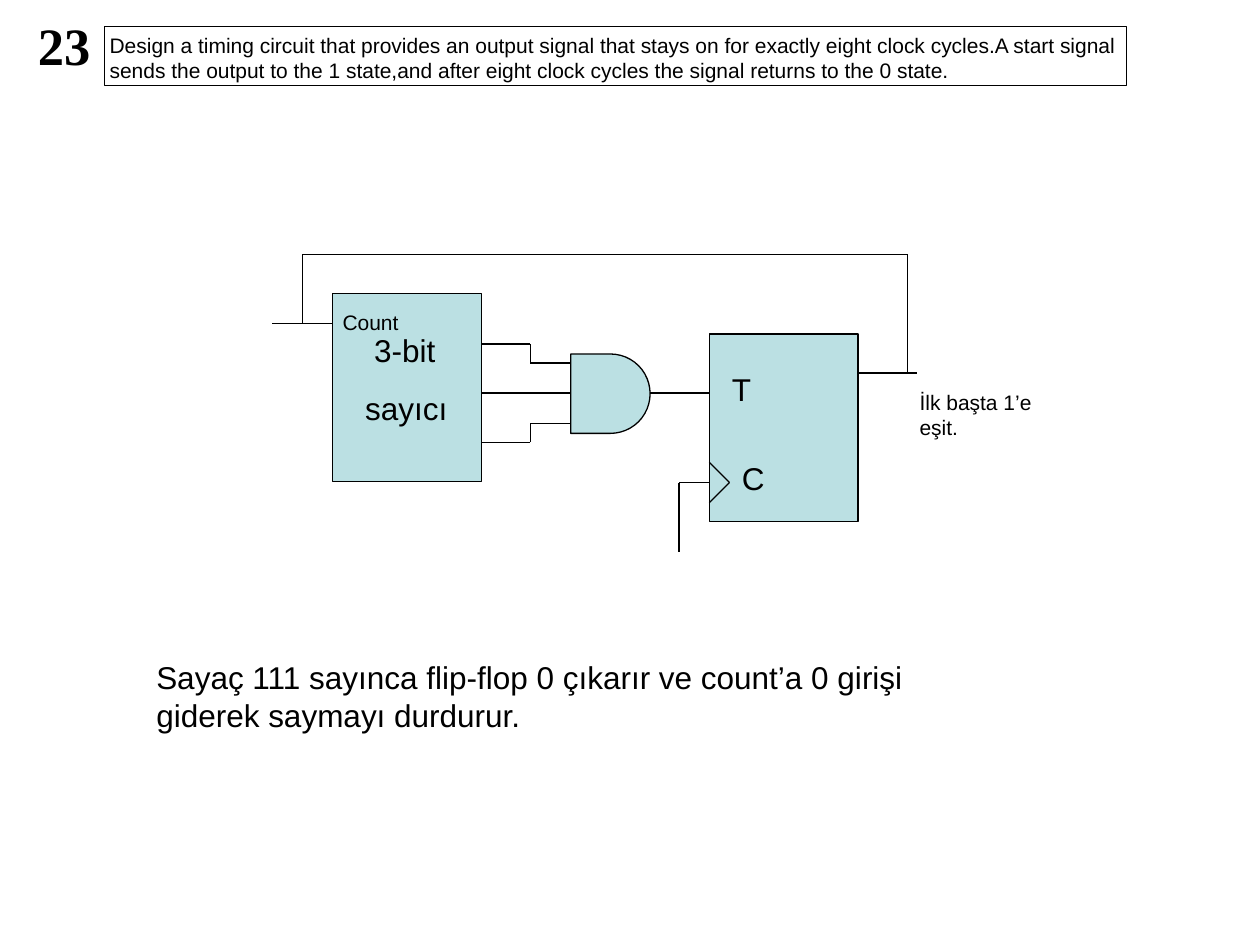
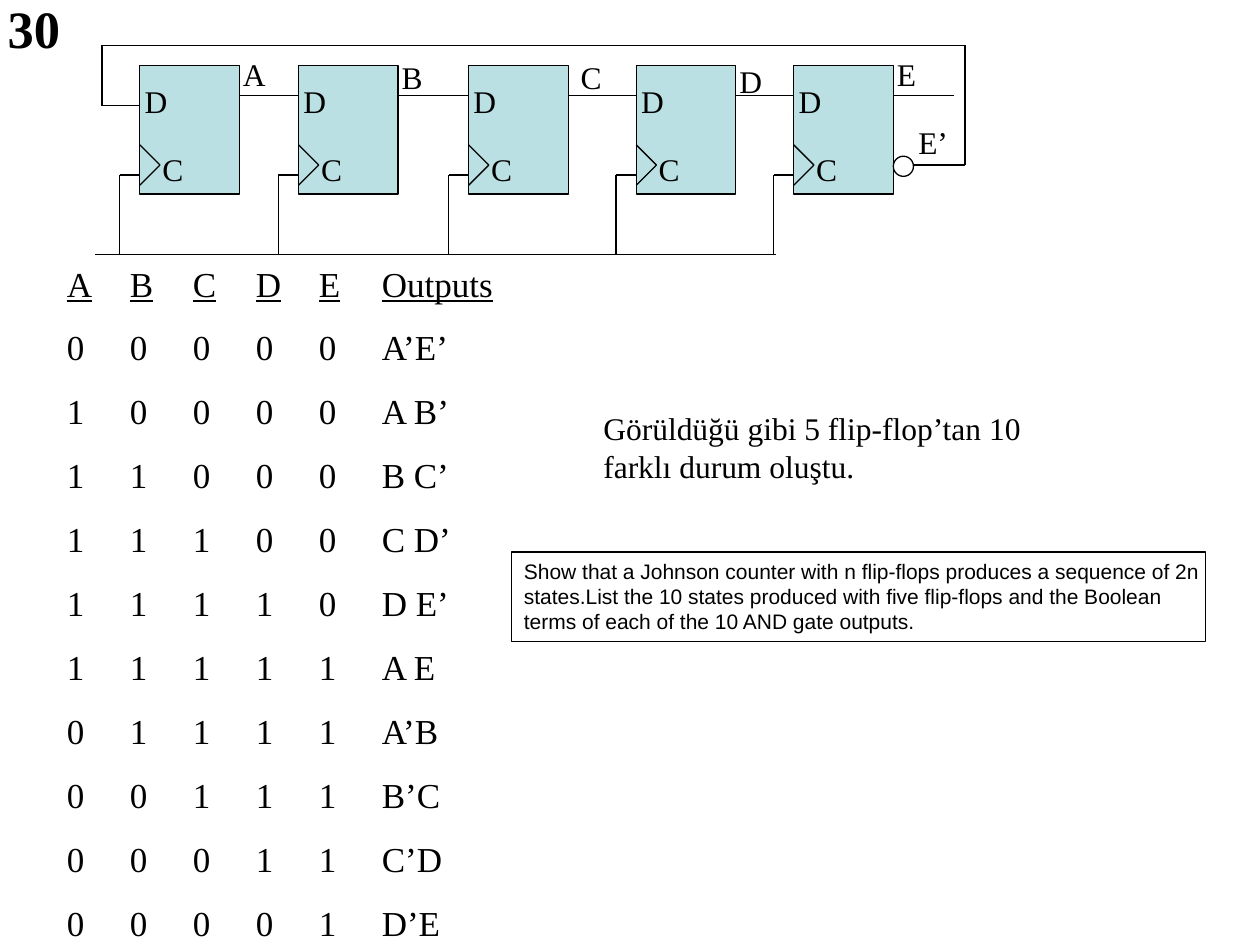
from lxml import etree
from pptx import Presentation
from pptx.dml.color import RGBColor
from pptx.enum.shapes import MSO_CONNECTOR as CONN, MSO_SHAPE as SHP
from pptx.enum.text import MSO_ANCHOR as ANCHOR, MSO_AUTO_SIZE as FIT, PP_ALIGN as ALIGN
from pptx.oxml.ns import qn
from pptx.util import Emu, Pt

PX = 9144
INK, TEAL = "000000", "BBE0E3"
SANS, SERIF = "Arial", "Times New Roman"
OUTPUTS = "A’E’,A B’,B C’,C D’,D E’,A E,A’B,B’C,C’D,D’E".split(",")
HEAD_STOPS, ROW_STOPS = (40, 79, 118, 160, 218), (41, 83, 118, 160, 235)


def px(n):
    """Turn layout pixels (100 to the inch) into EMU."""
    return Emu(n * PX)


def color(hex_text):
    """Turn a hex string into a colour."""
    return RGBColor.from_string(hex_text)


def place(sp, box):
    """Move and size a shape to a box."""
    sp.left, sp.top, sp.width, sp.height = map(px, box)


def frame(sp, left=10, right=10):
    """Prepare the text frame of a shape."""
    tf = sp.text_frame
    tf.word_wrap, tf.auto_size = True, FIT.NONE
    tf.vertical_anchor = ANCHOR.TOP
    tf.margin_left, tf.margin_right = px(left), px(right)
    tf.margin_top = tf.margin_bottom = px(5)
    return tf


def paragraph(tf, size, indent=0, stops=()):
    """Return the next paragraph, without bullet, with its spacing and tab stops."""
    first = not tf.paragraphs[0].runs
    p = tf.paragraphs[0] if first else tf.add_paragraph()
    p.alignment = ALIGN.LEFT
    p.line_spacing = Pt(size * 1.2)
    p.space_before = Pt(0 if first else size * 0.625)
    ppr = p._p.get_or_add_pPr()
    ppr.set("marL", str(px(indent)))
    ppr.set("indent", "0")
    etree.SubElement(ppr, qn("a:buNone"))
    if stops:
        tabs = etree.SubElement(ppr, qn("a:tabLst"))
        for stop in stops:
            etree.SubElement(tabs, qn("a:tab"), pos=str(px(stop)), algn="l")
    return p


def run(p, text, size, font, bold=False, underline=False):
    """Add one formatted run."""
    r = p.add_run()
    r.text = text
    f = r.font
    f.size, f.name, f.bold, f.underline = Pt(size), font, bold, underline
    f.color.rgb = color(INK)


def label(s, box, text, size=18, font=SANS):
    """Add a text box with one paragraph."""
    sp = s.shapes.add_textbox(*map(px, box))
    run(paragraph(frame(sp), size), text, size, font)


def block(s, kind, box, fill=TEAL):
    """Add an outlined shape, filled unless fill is None."""
    sp = s.shapes.add_shape(kind, *map(px, box))
    sp.shadow.inherit = False
    if fill:
        sp.fill.solid()
        sp.fill.fore_color.rgb = color(fill)
    else:
        sp.fill.background()
    sp.line.color.rgb, sp.line.width = color(INK), Pt(0.75)


def wire(s, *points):
    """Join the points with straight lines."""
    for start, end in zip(points, points[1:]):
        c = s.shapes.add_connector(CONN.STRAIGHT, *map(px, start + end))
        c.line.color.rgb, c.line.width = color(INK), Pt(0.75)
        etree.SubElement(c._element.spPr, qn("a:effectLst"))


def problem_slide(prs, number, corner):
    """Add a slide with its problem number as title."""
    s = prs.slides.add_slide(prs.slide_layouts[1])
    place(s.shapes.title, corner + (71, 60))
    run(paragraph(frame(s.shapes.title), 30), number, 30, SERIF, bold=True)
    return s


def question(s, box, inset, text):
    """Add the framed question."""
    sp = s.shapes.add_textbox(*map(px, box))
    sp.line.color.rgb, sp.line.width = color(INK), Pt(0.75)
    run(paragraph(frame(sp, inset, 0), 12), text, 12, SANS)


def flip_flop(s, box, data, data_at, clock_at, clock_y, font):
    """Draw a flip-flop with its data label, clock label and clock notch."""
    x, y = box[:2]
    block(s, SHP.RECTANGLE, box)
    mid = y + clock_y
    wire(s, (x, mid + 16), (x + 16, mid), (x, mid - 16))
    for text, (dx, dy) in ((data, data_at), ("C", clock_at)):
        label(s, (x + dx, y + dy, 47, 40), text, font=font)


def counter(s, box):
    """Draw the 3-bit counter with its name and count input."""
    x, y = box[:2]
    block(s, SHP.RECTANGLE, box)
    sp = s.shapes.add_textbox(*map(px, (x + 16, y + 25, 95, 86)))
    tf = frame(sp)
    for text, indent in (("3-bit", 7), ("sayıcı", 0)):
        run(paragraph(tf, 18, indent), text, 18, SANS)
    label(s, (x - 2, y + 8, 71, 30), "Count", 12)


def timing_circuit(s, x, y):
    """Draw counter, gate and flip-flop with the feedback wire from a top-left corner."""
    counter(s, (x + 48, y + 31, 118, 149))
    flip_flop(s, (x + 347, y + 63, 118, 149), "T", (8, 24), (16, 94), 118, SANS)
    block(s, SHP.FLOWCHART_DELAY, (x + 237, y + 79, 63, 63))
    mid = y + 110
    for side in (-1, 0, 1):
        out, gate = mid + 39 * side, mid + 24 * side
        ends = [(x + 166, out), (x + 205, out), (x + 205, gate), (x + 237, gate)]
        wire(s, *(ends if side else (ends[0], ends[-1])))
    wire(s, (x + 300, mid), (x + 347, mid))
    wire(s, (x, y + 55), (x + 48, y + 55))
    wire(s, (x + 465, y + 94), (x + 512, y + 94))
    wire(s, (x + 504, y + 94), (x + 504, y), (x + 24, y), (x + 24, y + 55))
    wire(s, (x + 347, y + 181), (x + 323, y + 181), (x + 323, y + 236))
    label(s, (x + 504, y + 102, 142, 50), "İlk başta 1’e eşit.", 12)


def johnson_counter(s, x, y):
    """Draw the five-stage Johnson counter from a top-left corner."""
    lefts = [x + dx for dx in (30, 156, 291, 424, 549)]
    top, bus = y + 16, y + 166
    out, clock = top + 24, top + 87
    ends = lefts[1:] + [lefts[-1] + 127]
    for left, end, name, dy in zip(lefts, ends, "ABCDE", (3, 5, 5, 8, 3)):
        flip_flop(s, (left, top, 79, 102), "D", (-6, 8), (8, 62), 79, SERIF)
        wire(s, (left + 79, out), (end, out))
        wire(s, (left, clock), (left - 16, clock), (left - 16, bus))
        label(s, (left + (79 if name == "C" else 72), y + dy, 47, 40), name, font=SERIF)
    wire(s, (lefts[-1] - 14, bus), (x - 6, bus))
    right = lefts[-1] + 79
    block(s, SHP.FLOWCHART_CONNECTOR, (right, y + 88, 16, 16), None)
    wire(s, (right + 16, y + 95), (x + 685, y + 95), (x + 685, y),
         (x, y), (x, y + 48), (lefts[0], y + 48))
    label(s, (right + 10, y + 57, 47, 40), "E’", font=SERIF)


def state_list(s, box):
    """Fill the body with the counter states and their gate outputs."""
    body = s.placeholders[1]
    place(body, box)
    tf = frame(body)
    p = paragraph(tf, 20, stops=HEAD_STOPS)
    for text, underline in (("\t".join("ABCDE"), True), ("\t", False), ("Outputs", True)):
        run(p, text, 20, SERIF, underline=underline)
    for step, term in enumerate(OUTPUTS):
        bits = [str(int(k < step <= k + 5)) for k in range(5)]
        run(paragraph(tf, 20, stops=ROW_STOPS), "\t".join(bits + [term]), 20, SERIF)


def timing_slide(prs):
    """Build the timing circuit problem."""
    s = problem_slide(prs, "23", (20, 5))
    question(s, (83, 21, 811, 47), 4,
             "Design a timing circuit that provides an output signal that stays on for exactly "
             "eight clock cycles.A start signal sends the output to the 1 state,and after eight "
             "clock cycles the signal returns to the 0 state.")
    timing_circuit(s, 216, 202)
    body = s.placeholders[1]
    place(body, (114, 517, 669, 70))
    run(paragraph(frame(body), 18),
        "Sayaç 111 sayınca flip-flop 0 çıkarır ve count’a 0 girişi giderek saymayı durdurur.",
        18, SANS)


def johnson_slide(prs):
    """Build the Johnson counter problem."""
    s = problem_slide(prs, "30", (-4, -8))
    johnson_counter(s, 81, 36)
    state_list(s, (43, 203, 360, 547))
    label(s, (469, 320, 409, 70), "Görüldüğü gibi 5 flip-flop’tan 10 farklı durum oluştu.",
          font=SERIF)
    question(s, (406, 438, 551, 71), 10,
             "Show that a Johnson counter with n flip-flops produces a sequence of 2n states."
             "List the 10 states produced with five flip-flops and the Boolean terms of each "
             "of the 10 AND gate outputs.")


def main():
    """Build and save the presentation."""
    prs = Presentation()
    prs.slide_width, prs.slide_height = px(1000), px(750)
    timing_slide(prs)
    johnson_slide(prs)
    prs.save("out.pptx")


if __name__ == "__main__":
    main()
